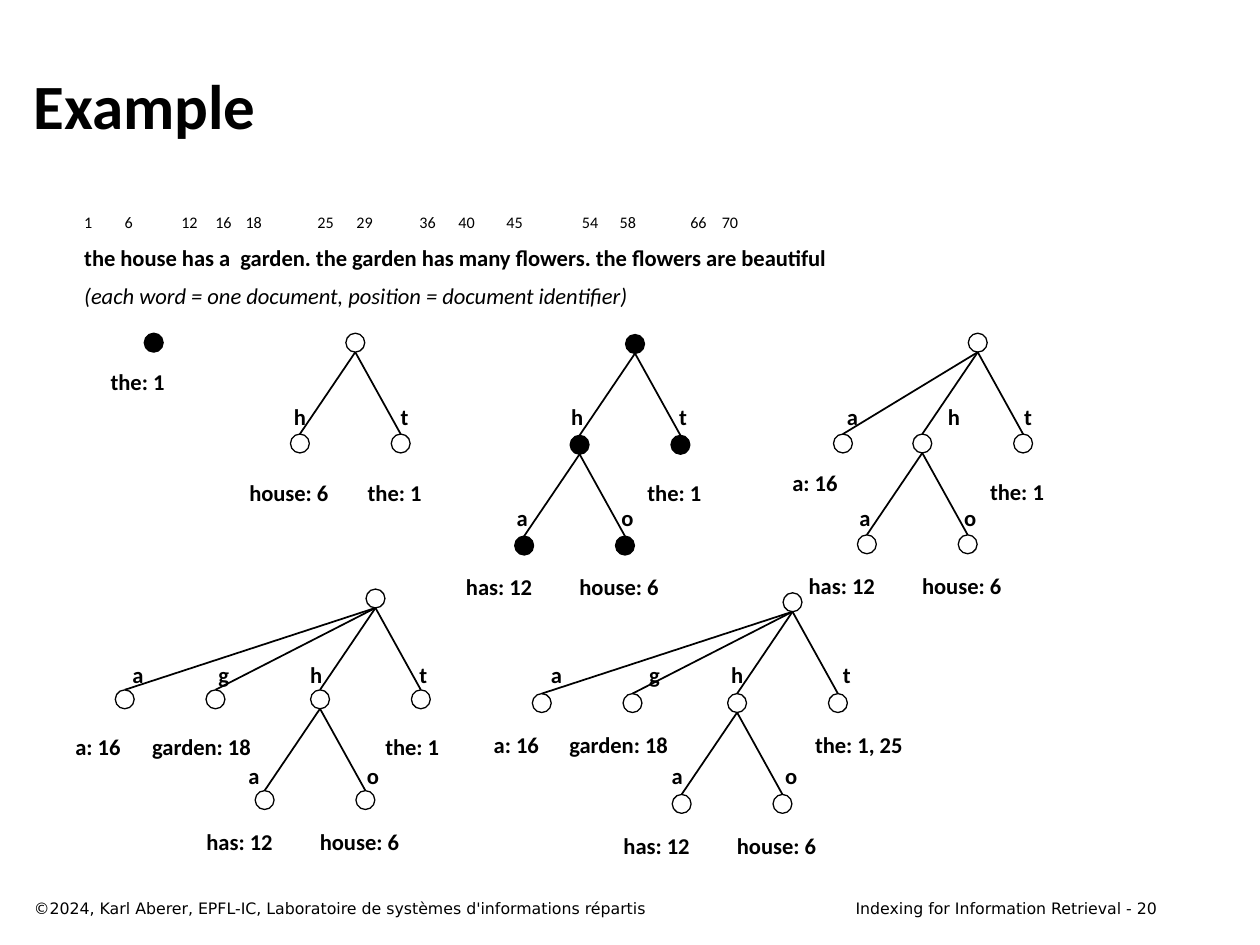
from dataclasses import dataclass

from lxml.etree import SubElement
from pptx import Presentation
from pptx.dml.color import RGBColor
from pptx.enum.shapes import MSO_CONNECTOR as Connector, MSO_SHAPE as Shape
from pptx.enum.text import MSO_ANCHOR as Anchor, MSO_AUTO_SIZE as AutoSize, PP_ALIGN as Align
from pptx.oxml.ns import qn
from pptx.util import Inches, Pt

COLORS = {"ink": "000000", "paper": "FFFFFF"}
WIDTHS = {
    "a": 0.29, "g": 0.29, "h": 0.3, "o": 0.3, "t": 0.26,
    "the: 1": 0.67, "the: 1, 25": 0.95, "a: 16": 0.61,
    "garden: 18": 1.04, "has: 12": 0.77, "house: 6": 0.88,
}
LEVEL_HEIGHT = 0.8
NEAR_LEFT, NEAR_RIGHT = -0.44, 0.36
TEXT_SIZE = 12.9


@dataclass
class Node:
    letter: str
    offset: float
    letter_left: float
    label: str = ""
    label_left: float = 0
    label_shift: float = 0
    children: tuple = ()


@dataclass
class Tree:
    root: tuple
    letter_top: float
    label_tops: tuple
    children: tuple
    filled: bool = False


def write_text(paragraph, text, size=TEXT_SIZE, font="Calibri", color="ink",
               bold=False, italic=False, align=Align.LEFT, before=0, tabs=()):
    if tabs:
        tab_list = SubElement(paragraph._p.get_or_add_pPr(), qn("a:tabLst"))
        for position in tabs:
            SubElement(tab_list, qn("a:tab"), pos=str(Inches(position)), algn="l")
    paragraph.alignment = align
    paragraph.space_before = Pt(before)
    run = paragraph.add_run()
    run.text = text
    run.font.name = font
    run.font.size = Pt(size)
    run.font.bold = bold
    run.font.italic = italic
    run.font.color.rgb = RGBColor.from_string(COLORS[color])


class TreeSlide:
    diameter = 0.15
    outline = 0.75
    branch_width = 1

    def __init__(self, slide):
        self.slide = slide
        self.shapes = slide.shapes
        slide.background.fill.solid()
        slide.background.fill.fore_color.rgb = RGBColor.from_string(COLORS["paper"])

    def text(self, left, top, width, height, *paragraphs, anchor=Anchor.TOP, wrap=True):
        box = self.shapes.add_textbox(Inches(left), Inches(top), Inches(width), Inches(height))
        frame = box.text_frame
        frame.word_wrap = wrap
        frame.auto_size = AutoSize.NONE if wrap else AutoSize.SHAPE_TO_FIT_TEXT
        frame.vertical_anchor = anchor
        for index, (text, style) in enumerate(paragraphs):
            paragraph = frame.add_paragraph() if index else frame.paragraphs[0]
            write_text(paragraph, text, **style)

    def label(self, text, left, top, align=Align.LEFT):
        self.text(left, top, WIDTHS[text], 0.32, (text, dict(bold=True, align=align)), wrap=False)

    def dot(self, x, y, filled):
        radius = self.diameter / 2
        shape = self.shapes.add_shape(Shape.OVAL, Inches(x - radius), Inches(y - radius),
                                      Inches(self.diameter), Inches(self.diameter))
        shape.shadow.inherit = False
        ink = RGBColor.from_string(COLORS["ink"])
        if filled:
            shape.fill.solid()
            shape.fill.fore_color.rgb = ink
        else:
            shape.fill.background()
        shape.line.color.rgb = ink
        shape.line.width = Pt(self.outline)

    def branch(self, x, y, child_x, child_y):
        radius = self.diameter / 2
        line = self.shapes.add_connector(Connector.STRAIGHT, Inches(x), Inches(y + radius),
                                         Inches(child_x), Inches(child_y - radius))
        line.line.color.rgb = RGBColor.from_string(COLORS["ink"])
        line.line.width = Pt(self.branch_width)
        SubElement(line._element.spPr, qn("a:effectLst"))

    def children(self, tree, nodes, x, y, level=0):
        child_y = y + LEVEL_HEIGHT
        for node in nodes:
            child_x = x + node.offset
            self.branch(x, y, child_x, child_y)
            self.dot(child_x, child_y, tree.filled)
            self.label(node.letter, node.letter_left,
                       tree.letter_top + level * LEVEL_HEIGHT, Align.CENTER)
            if node.label:
                self.label(node.label, node.label_left, tree.label_tops[level] + node.label_shift)
            self.children(tree, node.children, child_x, child_y, level + 1)

    def tree(self, tree):
        self.shapes = self.slide.shapes.add_group_shape().shapes
        self.dot(*tree.root, tree.filled)
        self.children(tree, tree.children, *tree.root)
        self.shapes = self.slide.shapes


def h_node(letter_left, a_left, has_left, o_left, house_left):
    return Node("h", NEAR_LEFT, letter_left, children=(
        Node("a", NEAR_LEFT, a_left, "has: 12", has_left),
        Node("o", NEAR_RIGHT, o_left, "house: 6", house_left)))


TREES = (
    Tree((2.82, 2.72), 3.15, (3.75,), (
        Node("h", NEAR_LEFT, 2.23, "house: 6", 1.88),
        Node("t", NEAR_RIGHT, 3.08, "the: 1", 2.82))),
    Tree((5.04, 2.73), 3.15, (3.75, 4.5), (
        h_node(4.43, 4, 3.6, 4.83, 4.5),
        Node("t", NEAR_RIGHT, 5.29, "the: 1", 5.04)), filled=True),
    Tree((2.98, 4.75), 5.2, (5.77, 6.52), (
        Node("a", -1.99, 0.95, "a: 16", 0.5),
        Node("g", -1.27, 1.63, "garden: 18", 1.11),
        h_node(2.36, 1.87, 1.54, 2.81, 2.44),
        Node("t", NEAR_RIGHT, 3.23, "the: 1", 2.96))),
    Tree((7.76, 2.72), 3.15, (3.74, 4.49), (
        Node("a", -1.07, 6.62, "a: 16", 6.19, -0.07),
        h_node(7.42, 6.72, 6.32, 7.55, 7.22),
        Node("t", NEAR_RIGHT, 8.03, "the: 1", 7.76))),
    Tree((6.29, 4.78), 5.2, (5.75, 6.55), (
        Node("a", -1.99, 4.27, "a: 16", 3.82),
        Node("g", -1.27, 5.05, "garden: 18", 4.42),
        h_node(5.7, 5.23, 4.85, 6.13, 5.75),
        Node("t", NEAR_RIGHT, 6.59, "the: 1, 25", 6.37))),
)
WORD_POSITIONS = (1, 6, 12, 16, 18, 25, 29, 36, 40, 45, 54, 58, 66, 70)
POSITION_TABS = (0.32, 0.77, 1.04, 1.28, 1.85, 2.16, 2.66, 2.97, 3.35, 3.95, 4.25, 4.81, 5.06)


def main():
    presentation = Presentation()
    presentation.slide_width, presentation.slide_height = Inches(10), Inches(7.5)
    page = TreeSlide(presentation.slides.add_slide(presentation.slide_layouts[6]))

    footer = dict(size=9, font="DejaVu Sans")
    page.text(6.37, 7.08, 2.91, 0.25,
              ("Indexing for Information Retrieval - 20", dict(footer, align=Align.RIGHT)))
    page.text(0.17, 7.08, 6.42, 0.25, (
        "©2024, Karl Aberer, EPFL-IC, Laboratoire de systèmes d'informations répartis", footer))
    page.text(0.17, 0.33, 9.08, 1, ("Example", dict(size=36, bold=True)), anchor=Anchor.MIDDLE)
    page.text(
        0.57, 1.64, 8.38, 0.8,
        ("\t".join(map(str, WORD_POSITIONS)), dict(size=9.2, tabs=POSITION_TABS)),
        ("the house has a  garden. the garden has many flowers. the flowers are beautiful",
         dict(bold=True, before=TEXT_SIZE / 2)),
        ("(each word = one document, position = document identifier)",
         dict(italic=True, before=TEXT_SIZE / 2)))

    page.dot(1.22, 2.72, True)
    page.label("the: 1", 0.78, 2.87)
    for tree in TREES:
        page.tree(tree)
    presentation.save("out.pptx")


if __name__ == "__main__":
    main()
